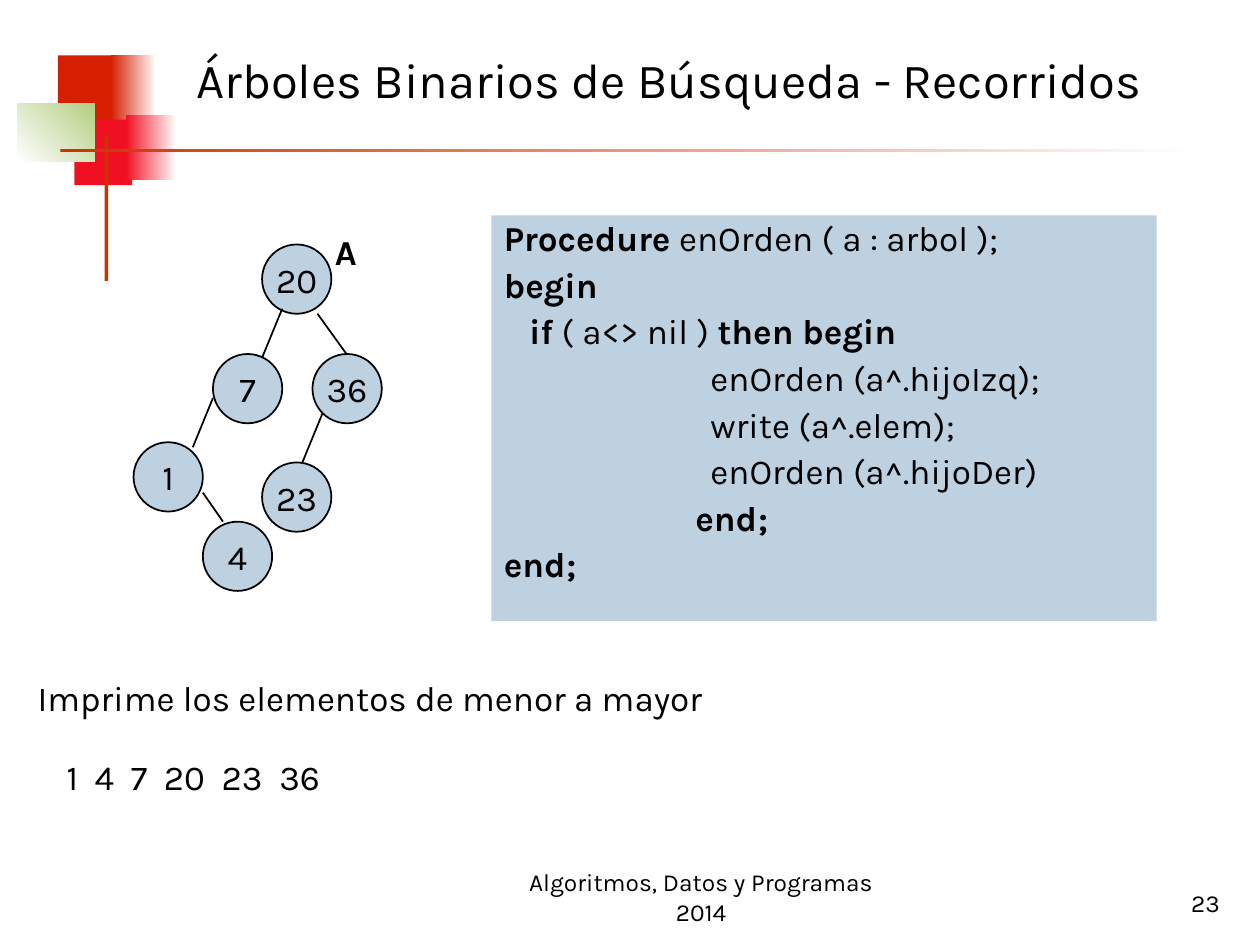
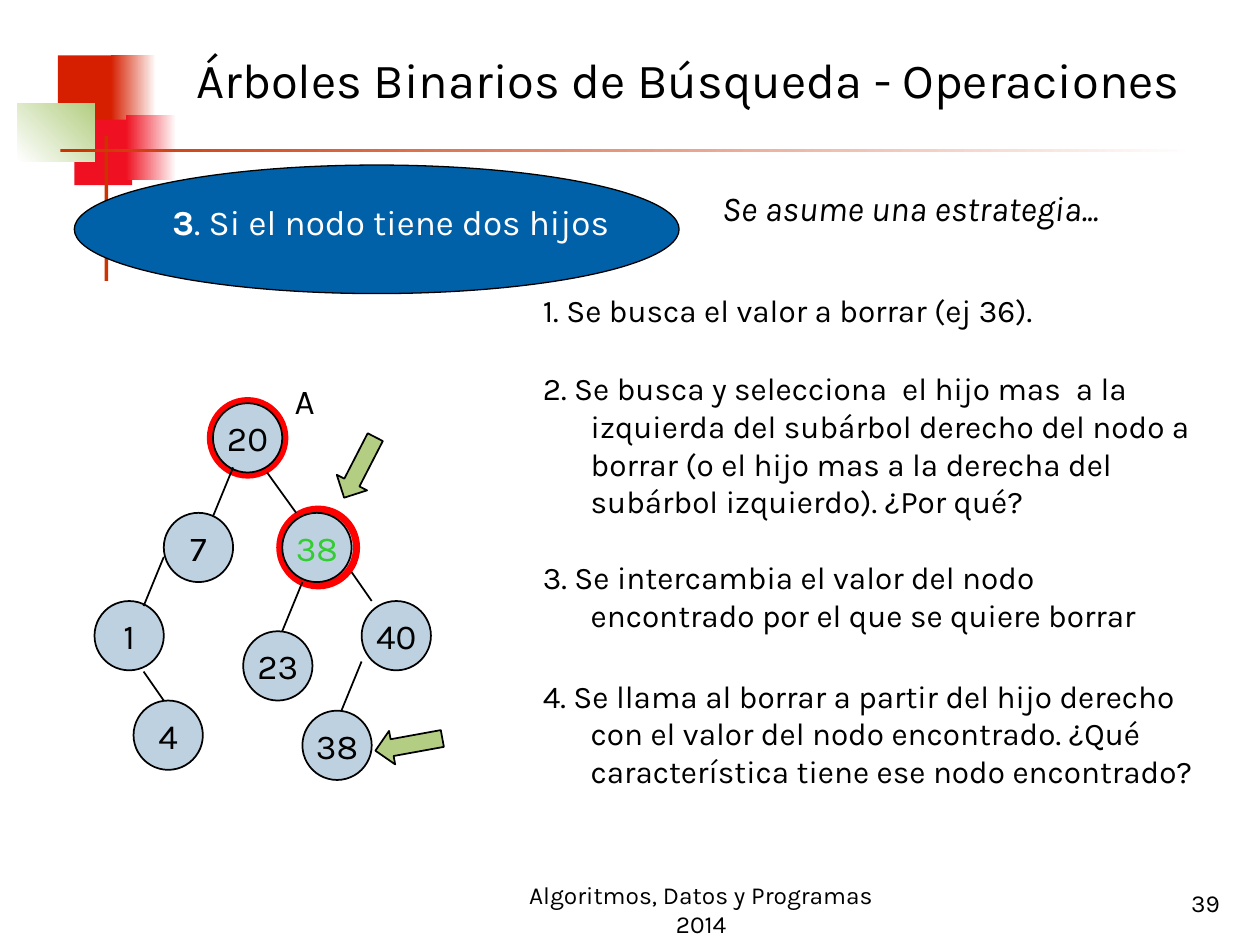
"""Builds two slides on binary search trees."""
from typing import NamedTuple

from pptx import Presentation
from pptx.dml.color import RGBColor
from pptx.enum.shapes import MSO_CONNECTOR as Conn, MSO_SHAPE as Kind
from pptx.enum.text import MSO_ANCHOR as Anchor, PP_ALIGN as Align
from pptx.oxml.ns import qn
from pptx.util import Inches, Pt
from lxml.etree import SubElement

FONT = "Karla"
BLACK, WHITE, RED = "000000", "FFFFFF", "FF0000"
BRICK, CRIMSON, RUST = "D61F00", "EF1121", "CC3300"
PALE, LEAF, BLUE, LIME = "BED1E0", "B3CE82", "0060A8", "33CC33"
SIZE = 0.55
LEFT, WIDE, NEAR = (-0.16, 0.39), (0.23, 0.32), (0.16, 0.23)


class Box(NamedTuple):
    """Place and size in inches."""
    x: float
    y: float
    w: float
    h: float


class Band(NamedTuple):
    """One block of the corner motif."""
    box: Box
    color: str
    fade: str = ""
    angle: int = 0


class Node(NamedTuple):
    """One tree node."""
    label: str
    x: float
    y: float
    color: str = BLACK


class Edge(NamedTuple):
    """One tree branch: its start and its slant."""
    x: float
    y: float
    step: tuple[float, float]


class Line(NamedTuple):
    """One line of code and its indent."""
    text: str
    indent: float = 0


class Step(NamedTuple):
    """One numbered step."""
    box: Box
    text: str


BANDS = [
    Band(Box(0.46, 0.44, 0.48, 0.52), BRICK),
    Band(Box(0.88, 0.44, 0.36, 0.52), BRICK, WHITE),
    Band(Box(0.59, 0.95, 0.46, 0.52), CRIMSON),
    Band(Box(1, 0.91, 0.4, 0.52), CRIMSON, WHITE),
    Band(Box(0.14, 0.82, 0.61, 0.46), WHITE, LEAF, 45),
    Band(Box(0.83, 1.08, 0.03, 1.15), RUST),
    Band(Box(0.48, 1.18, 9, 0.03), RUST, WHITE),
]
WALK_NODES = [
    Node("20", 2.08, 1.94), Node("7", 1.69, 2.81), Node("36", 2.48, 2.81),
    Node("1", 1.06, 3.51), Node("4", 1.61, 4.14), Node("23", 2.08, 3.67),
]
WALK_EDGES = [
    Edge(2.24, 2.45, LEFT), Edge(2.52, 2.49, WIDE), Edge(1.69, 3.16, LEFT),
    Edge(1.61, 3.91, NEAR), Edge(2.56, 3.28, LEFT),
]
CODE = [
    Line("*Procedure* enOrden ( a : arbol );"),
    Line("*begin*"),
    Line("*if* ( a<> nil ) *then begin*", 0.2),
    Line("enOrden (a^.hijoIzq);", 1.64),
    Line("write (a^.elem);", 1.64),
    Line("enOrden (a^.hijoDer)", 1.64),
    Line("*end;*", 1.52),
    Line("*end;*"),
]
DROP_NODES = [
    Node("20", 1.69, 3.2), Node("7", 1.3, 4.07), Node("1", 0.75, 4.77),
    Node("4", 1.06, 5.56), Node("23", 1.93, 5.01), Node("40", 2.87, 4.77),
    Node("38", 2.4, 5.64), Node("38", 2.24, 4.07, LIME),
]
DROP_EDGES = [
    Edge(1.85, 3.71, LEFT), Edge(2.12, 3.75, WIDE), Edge(1.3, 4.42, LEFT),
    Edge(1.14, 5.33, NEAR), Edge(2.4, 4.62, LEFT), Edge(2.79, 4.54, NEAR),
    Edge(2.87, 5.25, LEFT),
]
STEPS = [
    Step(Box(4.21, 2.26, 4.73, 0.55), "1. Se busca el valor a borrar (ej 36)."),
    Step(Box(4.21, 2.88, 5.52, 1.34),
         "2. Se busca y selecciona  el hijo mas  a la izquierda del subárbol "
         "derecho del nodo a borrar (o el hijo mas a la derecha del subárbol "
         "izquierdo). ¿Por qué?"),
    Step(Box(4.21, 4.38, 5.43, 0.71),
         "3. Se intercambia el valor del nodo encontrado por el que se quiere "
         "borrar"),
    Step(Box(4.21, 5.32, 5.43, 1.18),
         "4. Se llama al borrar a partir del hijo derecho con el valor del nodo "
         "encontrado. ¿Qué característica tiene ese nodo encontrado?"),
]


def tint(code: str) -> RGBColor:
    """Turn a hex string into a colour."""
    return RGBColor.from_string(code)


def place(box: Box) -> list:
    """Turn a box into lengths."""
    return [Inches(v) for v in box]


def shape(slide, kind, box: Box, fill: str, line: str = "", width: float = 1):
    """Add a filled preset shape."""
    item = slide.shapes.add_shape(kind, *place(box))
    item.shadow.inherit = False
    item.fill.solid()
    item.fill.fore_color.rgb = tint(fill)
    if line:
        item.line.color.rgb = tint(line)
        item.line.width = Pt(width)
    else:
        item.line.fill.background()
    return item


def write(frame, text: str, *, size=20, color=BLACK, italic=False,
          align=Align.LEFT, anchor=Anchor.TOP, wrap=True, before=0,
          spacing=1.0, indent=0.0, hang=0.0, more=False) -> None:
    """Write one paragraph, with bold between asterisks."""
    frame.word_wrap, frame.vertical_anchor = wrap, anchor
    para = frame.add_paragraph() if more else frame.paragraphs[0]
    para.alignment, para.line_spacing = align, spacing
    para.space_before = Pt(before)
    props = para._p.get_or_add_pPr()
    props.set("marL", str(Inches(indent + hang)))
    props.set("indent", str(Inches(-hang)))
    for i, part in enumerate(text.split("*")):
        if part:
            run = para.add_run()
            run.text = part
            font = run.font
            font.name, font.size = FONT, Pt(size)
            font.bold, font.italic = i % 2 == 1, italic
            font.color.rgb = tint(color)


def label(slide, box: Box, text: str, **style) -> None:
    """Add a text box."""
    write(slide.shapes.add_textbox(*place(box)).text_frame, text, **style)


def band(slide, item: Band) -> None:
    """Draw one block of the corner motif."""
    block = shape(slide, Kind.RECTANGLE, item.box, item.color)
    if item.fade:
        block.fill.gradient()
        block.fill.gradient_angle = item.angle
        for stop, code in zip(block.fill.gradient_stops, (item.color, item.fade)):
            stop.color.rgb = tint(code)


def branch(slide, edge: Edge) -> None:
    """Draw one tree branch."""
    ends = (edge.x, edge.y, edge.x + edge.step[0], edge.y + edge.step[1])
    line = slide.shapes.add_connector(Conn.STRAIGHT, *[Inches(v) for v in ends])
    line.line.color.rgb = tint(BLACK)
    line.line.width = Pt(1)
    SubElement(line._element.spPr, qn("a:effectLst"))


def tree(slide, nodes: list[Node], edges: list[Edge]) -> None:
    """Draw branches and nodes."""
    for node in nodes:
        disc = shape(slide, Kind.OVAL, Box(node.x, node.y, SIZE, SIZE), PALE, BLACK)
        write(disc.text_frame, node.label, color=node.color, align=Align.CENTER,
              anchor=Anchor.MIDDLE, wrap=False)
    for edge in edges:
        branch(slide, edge)


def base(deck, topic: str, number: int, foot: float):
    """Add a slide with its motif, title and footer."""
    slide = deck.slides.add_slide(deck.slide_layouts[6])
    for item in BANDS:
        band(slide, item)
    label(slide, Box(1.46, 0.13, 8.11, 1),
          f"Árboles Binarios de Búsqueda - {topic}", size=28, anchor=Anchor.MIDDLE)
    label(slide, Box(3.98, foot, 3.17, 0.5), "Algoritmos, Datos y Programas 2014",
          size=14, align=Align.CENTER, anchor=Anchor.BOTTOM)
    label(slide, Box(7.7, 6.83, 2.08, 0.5), str(number),
          size=14, align=Align.RIGHT, anchor=Anchor.BOTTOM)
    return slide


def walk(deck) -> None:
    """Build the slide on in-order traversal."""
    slide = base(deck, "Recorridos", 23, 6.9)
    panel = shape(slide, Kind.RECTANGLE, Box(3.9, 1.71, 5.28, 3.22), PALE)
    for i, line in enumerate(CODE):
        write(panel.text_frame, line.text, indent=line.indent, before=5,
              spacing=0.9, more=i > 0)
    tree(slide, WALK_NODES, WALK_EDGES)
    label(slide, Box(2.56, 1.78, 0.39, 0.44), "*A*")
    label(slide, Box(0.2, 5.32, 9.29, 0.44), "Imprime los elementos de menor a mayor")
    label(slide, Box(0.43, 5.95, 3.47, 0.44), "1  4  7  20  23  36")


def drop(deck) -> None:
    """Build the slide on deleting a node with two children."""
    slide = base(deck, "Operaciones", 39, 7)
    shape(slide, Kind.OVAL, Box(1.69, 3.2, SIZE, SIZE), PALE, RED, 7)
    shape(slide, Kind.OVAL, Box(2.22, 4.04, 0.61, 0.61), PALE, RED, 4)
    tree(slide, DROP_NODES, DROP_EDGES)
    label(slide, Box(2.24, 2.96, 0.39, 0.44), "A")
    for x, y, turn in ((2.72, 3.44, 27.2), (3.11, 5.64, 79.7)):
        arrow = shape(slide, Kind.DOWN_ARROW, Box(x, y, 0.27, 0.54), LEAF, BLACK)
        arrow.rotation = turn
    for step in STEPS:
        label(slide, step.box, step.text, size=18, before=4.5, hang=0.38)
    shape(slide, Kind.OVAL, Box(0.59, 1.31, 4.8, 1.02), BLUE, BLACK, 0.75)
    label(slide, Box(0.98, 1.54, 4.73, 0.84), "*3*. Si el nodo tiene dos hijos",
          color=WHITE, before=5, indent=0.29)
    label(slide, Box(5.63, 1.43, 3.62, 0.44), "Se asume una estrategia...",
          italic=True, before=12.5)


def main() -> None:
    """Build and save the deck."""
    deck = Presentation()
    deck.slide_width, deck.slide_height = Inches(10), Inches(7.5)
    walk(deck)
    drop(deck)
    deck.save("out.pptx")


if __name__ == "__main__":
    main()
